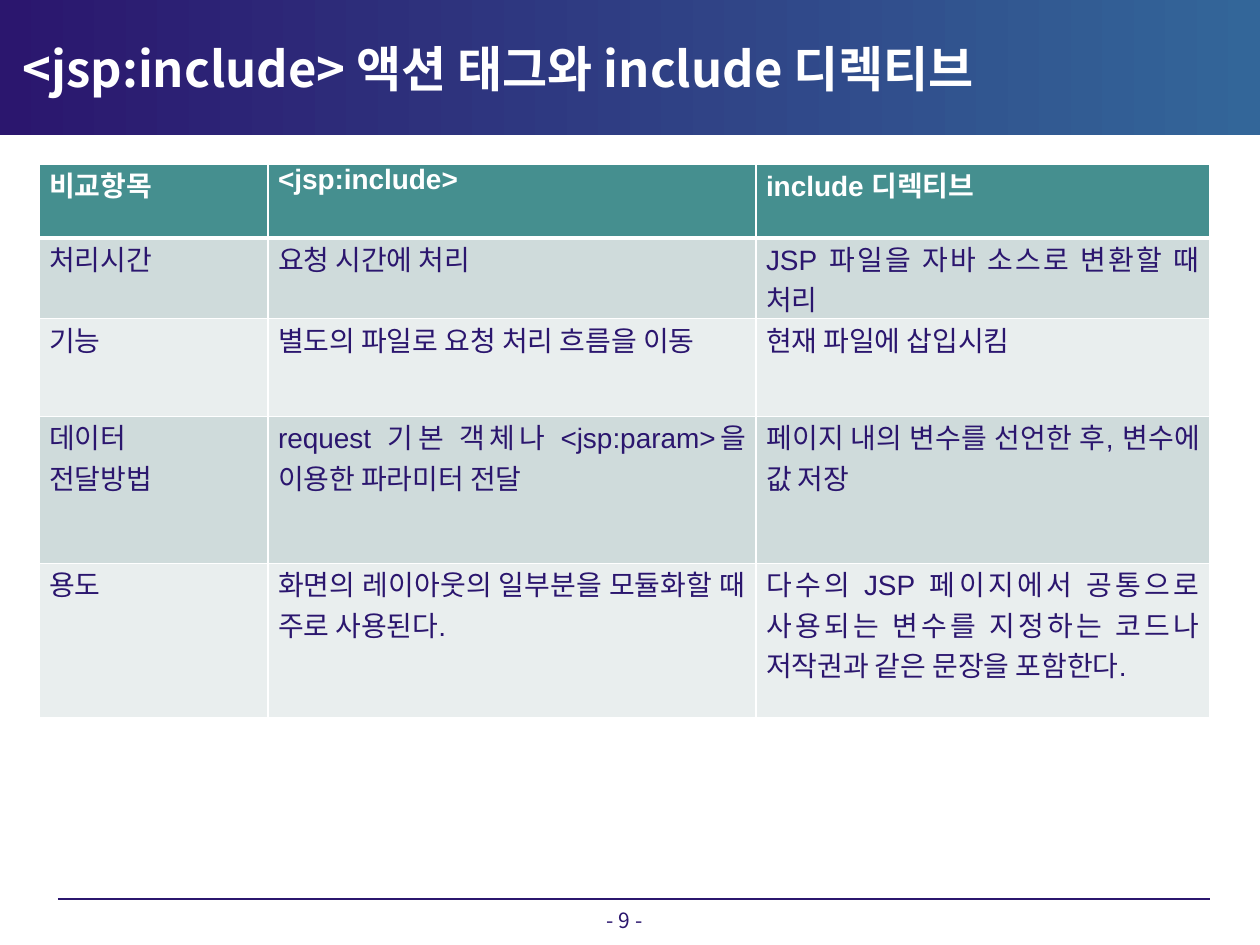
from dataclasses import dataclass

from lxml import etree
from pptx import Presentation
from pptx import util as u
from pptx.dml.color import RGBColor
from pptx.enum import shapes, text
from pptx.oxml.ns import qn

EMU_PER_PX = 914400 / 126
NAVY = RGBColor(0x2B, 0x16, 0x6E)
BLUE = RGBColor(0x33, 0x66, 0x99)
TEAL = RGBColor(0x45, 0x8F, 0x8F)
MIST = RGBColor(0xCF, 0xDB, 0xDB)
PALE = RGBColor(0xE9, 0xEE, 0xEE)
WHITE = RGBColor(0xFF, 0xFF, 0xFF)
LATIN = "Arial"
KOREAN = "Noto Sans CJK KR"
COL_WIDTHS = (229, 488, 454)


@dataclass(frozen=True)
class Row:
    height: int
    cells: tuple[str, str, str]


ROWS = (
    Row(74, ("비교항목", "<jsp:include>", "include 디렉티브")),
    Row(77, ("처리시간", "요청 시간에 처리", "JSP 파일을 자바 소스로 변환할 때 처리")),
    Row(98, ("기능", "별도의 파일로 요청 처리 흐름을 이동", "현재 파일에 삽입시킴")),
    Row(147, ("데이터\n전달방법",
              "request 기본 객체나 <jsp:param>을 이용한 파라미터 전달",
              "페이지 내의 변수를 선언한 후, 변수에 값 저장")),
    Row(154, ("용도",
              "화면의 레이아웃의 일부분을 모듈화할 때 주로 사용된다.",
              "다수의 JSP 페이지에서 공통으로 사용되는 변수를 지정하는 "
              "코드나 저작권과 같은 문장을 포함한다.")),
)


def px(*lengths: int) -> list[u.Emu]:
    """Turn pixel lengths into EMU."""
    return [u.Emu(round(n * EMU_PER_PX)) for n in lengths]


def style(p, size: int, color: RGBColor, latin: str, bold: bool, align) -> None:
    """Format a paragraph, with the Korean font for East Asian text."""
    p.alignment = align
    font = p.font
    font.size, font.bold, font.name = u.Pt(size), bold, latin
    font.color.rgb = color
    r_pr = p._p.pPr.find(qn("a:defRPr"))
    ea = etree.Element(qn("a:ea"), typeface=KOREAN)
    r_pr.find(qn("a:latin")).addnext(ea)


def add_band(slide) -> None:
    """Draw the gradient band behind the title."""
    band = slide.shapes.add_shape(shapes.MSO_SHAPE.RECTANGLE, *px(0, 0, 1260, 135))
    band.shadow.inherit = False
    band.line.fill.background()
    band.fill.gradient()
    band.fill.gradient_angle = 0
    for stop, color, position in zip(band.fill.gradient_stops, (NAVY, BLUE), (0, 1)):
        stop.color.rgb = color
        stop.position = position
    slide.shapes.element.insert(2, band.element)


def set_title(slide, title: str) -> None:
    """Place and fill the title placeholder."""
    sp = slide.shapes.title
    sp.left, sp.top, sp.width, sp.height = px(10, 29, 1086, 78)
    tf = sp.text_frame
    tf.text = title
    tf.vertical_anchor = text.MSO_ANCHOR.MIDDLE
    style(tf.paragraphs[0], 28, WHITE, KOREAN, True, text.PP_ALIGN.LEFT)


def set_borders(cell, top: int, bottom: int) -> None:
    """Give a cell white borders, with widths in points."""
    tc_pr = cell._tc.get_or_add_tcPr()
    sides = {"lnL": 1, "lnR": 1, "lnT": top, "lnB": bottom}
    for i, (side, width) in enumerate(sides.items()):
        ln = etree.Element(qn(f"a:{side}"), w=str(u.Pt(width)))
        fill = etree.SubElement(ln, qn("a:solidFill"))
        etree.SubElement(fill, qn("a:srgbClr"), val=str(WHITE))
        tc_pr.insert(i, ln)


def fill_cell(cell, content: str, row: int) -> None:
    """Fill and format one cell according to its row."""
    header = row == 0
    cell.text = content
    cell.margin_left = cell.margin_right = u.Inches(0.08)
    cell.margin_top = cell.margin_bottom = 0
    cell.fill.solid()
    cell.fill.fore_color.rgb = TEAL if header else MIST if row % 2 else PALE
    for p in cell.text_frame.paragraphs:
        style(p, 16, WHITE if header else NAVY, LATIN, header, text.PP_ALIGN.JUSTIFY)
    set_borders(cell, 3 if row == 1 else 1, 3 if header else 1)


def add_comparison(slide) -> None:
    """Add the comparison table."""
    size = sum(COL_WIDTHS), sum(row.height for row in ROWS)
    table = slide.shapes.add_table(len(ROWS), len(COL_WIDTHS), *px(39, 164, *size)).table
    for column, width in zip(table.columns, px(*COL_WIDTHS)):
        column.width = width
    for i, row in enumerate(ROWS):
        table.rows[i].height = px(row.height)[0]
        for j, content in enumerate(row.cells):
            fill_cell(table.cell(i, j), content, i)


def add_footer(slide, label: str) -> None:
    """Draw the footer rule and the page number."""
    rule = slide.shapes.add_connector(shapes.MSO_CONNECTOR.STRAIGHT, *px(58, 899, 1210, 899))
    rule.line.color.rgb = NAVY
    rule.line.width = u.Pt(0.75)
    etree.SubElement(rule.element.spPr, qn("a:effectLst"))
    tf = slide.shapes.add_textbox(*px(501, 906, 247, 28)).text_frame
    tf.word_wrap = True
    tf.margin_top = tf.margin_bottom = 0
    tf.vertical_anchor = text.MSO_ANCHOR.MIDDLE
    tf.text = label
    style(tf.paragraphs[0], 12, NAVY, KOREAN, False, text.PP_ALIGN.CENTER)


def main() -> None:
    """Build the slide."""
    prs = Presentation()
    prs.slide_width, prs.slide_height = px(1260, 945)
    slide = prs.slides.add_slide(prs.slide_layouts.get_by_name("Title Only"))
    add_band(slide)
    set_title(slide, "<jsp:include> 액션 태그와 include 디렉티브")
    add_comparison(slide)
    add_footer(slide, "- 9 -")
    prs.save("out.pptx")


if __name__ == "__main__":
    main()
